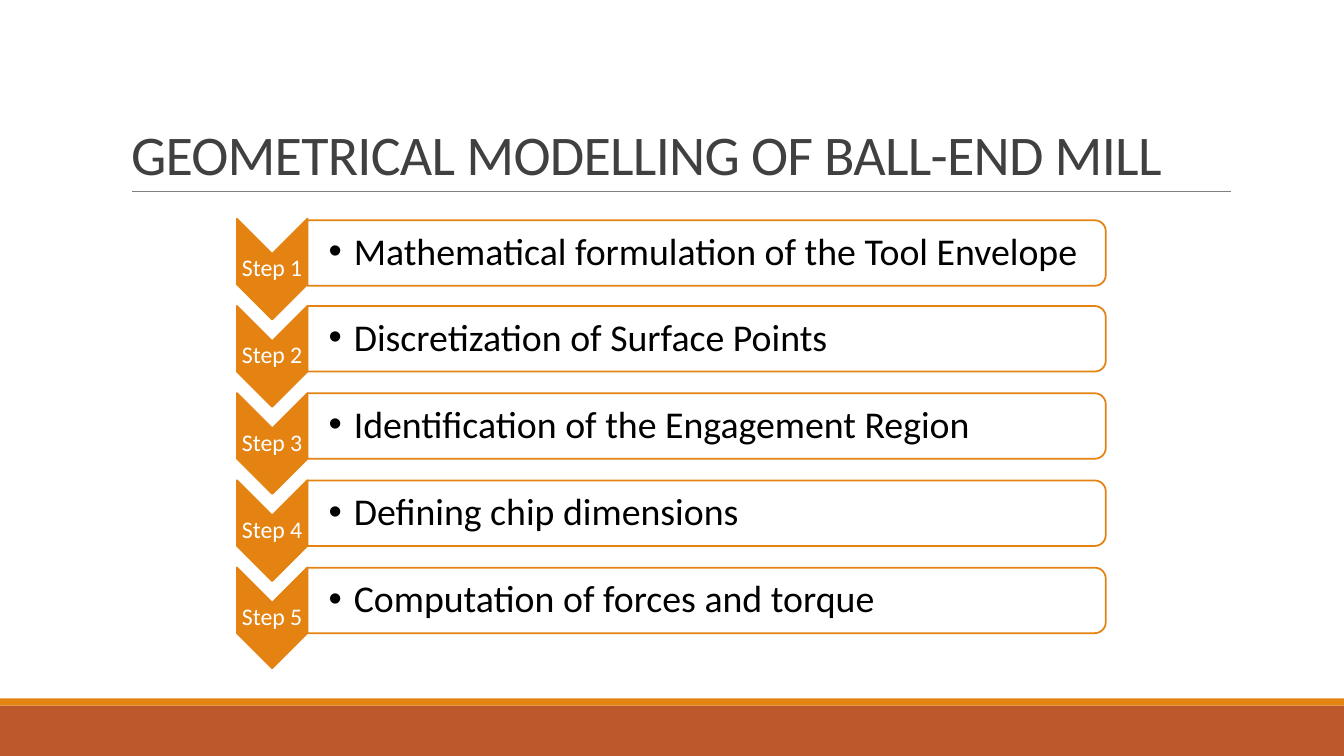
from dataclasses import dataclass

from lxml import etree
from pptx import Presentation
from pptx.dml.color import RGBColor
from pptx.enum import shapes, text
from pptx.oxml import ns
from pptx.util import Pt

COLORS = {
    "orange": "E48312",
    "rust": "BD582C",
    "rule": "808080",
    "title": "404040",
    "white": "FFFFFF",
    "black": "000000",
}
FONT = "Calibri"
SLIDE_WIDTH, SLIDE_HEIGHT = 960, 540
FIRST_CENTER, STEP_PITCH = 192.24, 62.28
CHEVRON_CENTER = 194.4
CHEVRON_LENGTH, CHEVRON_BREADTH = 72, 50.4
BAR_LEFT, BAR_LENGTH, BAR_HEIGHT = 219.6, 570.24, 46.8


@dataclass(frozen=True)
class Box:
    left: float
    top: float
    width: float
    height: float

    def lengths(self) -> tuple:
        return Pt(self.left), Pt(self.top), Pt(self.width), Pt(self.height)


@dataclass(frozen=True)
class Step:
    label: str
    description: str
    bar_rise: float = 12.5


@dataclass(frozen=True)
class TextStyle:
    size: float
    color: str
    alignment: text.PP_ALIGN = text.PP_ALIGN.LEFT
    line_spacing: float = 0.9


LABEL_STYLE = TextStyle(17, "white", text.PP_ALIGN.CENTER)
DESCRIPTION_STYLE = TextStyle(27, "black")
TITLE_STYLE = TextStyle(40, "title", line_spacing=0.85)

STEPS = [
    Step("Step 1", "Mathematical formulation of the Tool Envelope", 11.5),
    Step("Step 2", "Discretization of Surface Points"),
    Step("Step 3", "Identification of the Engagement Region"),
    Step("Step 4", "Defining chip dimensions"),
    Step("Step 5", "Computation of forces and torque"),
]


def color(name: str) -> RGBColor:
    return RGBColor.from_string(COLORS[name])


def centered_box(x: float, y: float, width: float, height: float) -> Box:
    return Box(x - width / 2, y - height / 2, width, height)


def add_filled_shape(slide, kind, box: Box, fill: str, outline: str = "", rotation: float = 0):
    shape = slide.shapes.add_shape(kind, *box.lengths())
    shape.shadow.inherit = False
    shape.rotation = rotation
    shape.fill.solid()
    shape.fill.fore_color.rgb = color(fill)
    if outline:
        shape.line.color.rgb = color(outline)
        shape.line.width = Pt(1.25)
    else:
        shape.line.fill.background()
    return shape


def write_run(paragraph, content: str, style: TextStyle):
    paragraph.alignment = style.alignment
    paragraph.line_spacing = style.line_spacing
    run = paragraph.add_run()
    run.text = content
    run.font.name = FONT
    run.font.size = Pt(style.size)
    run.font.color.rgb = color(style.color)
    return run


def add_bullet(paragraph) -> None:
    paragraph.level = 1
    properties = paragraph._p.get_or_add_pPr()
    properties.set("marL", str(Pt(18)))
    properties.set("indent", str(Pt(-18)))
    etree.SubElement(properties, ns.qn("a:buFont"), typeface="Arial")
    etree.SubElement(properties, ns.qn("a:buChar"), char="•")


def add_text(slide, box: Box, content: str, style: TextStyle,
             inset: float, left_inset: float, bulleted: bool = False) -> None:
    frame = slide.shapes.add_textbox(*box.lengths()).text_frame
    frame.word_wrap = True
    frame.vertical_anchor = text.MSO_ANCHOR.MIDDLE
    frame.margin_left = Pt(left_inset)
    frame.margin_top = frame.margin_right = frame.margin_bottom = Pt(inset)
    paragraph = frame.paragraphs[0]
    if bulleted:
        add_bullet(paragraph)
    write_run(paragraph, content, style)


def add_step(slide, step: Step, center: float) -> None:
    chevron = centered_box(CHEVRON_CENTER, center, CHEVRON_LENGTH, CHEVRON_BREADTH)
    add_filled_shape(slide, shapes.MSO_SHAPE.CHEVRON, chevron, "orange", "orange", 90)
    label = centered_box(CHEVRON_CENTER, center, CHEVRON_BREADTH, 21.6)
    add_text(slide, label, step.label, LABEL_STYLE, 0.72, 0.72)

    bar_center = center - step.bar_rise
    bar_box = centered_box(BAR_LEFT + BAR_LENGTH / 2, bar_center, BAR_HEIGHT, BAR_LENGTH)
    bar = add_filled_shape(slide, shapes.MSO_SHAPE.ROUND_2_SAME_RECTANGLE,
                           bar_box, "white", "orange", 90)
    bar_fill = bar._element.spPr.find(ns.qn("a:solidFill"))
    etree.SubElement(bar_fill[0], ns.qn("a:alpha"), val="90000")
    description = Box(BAR_LEFT, bar_center - 20.88, 568.08, 41.76)
    add_text(slide, description, step.description, DESCRIPTION_STYLE, 1.44, 15.12, True)


def add_title_rule(slide) -> None:
    rule = slide.shapes.add_connector(
        shapes.MSO_CONNECTOR.STRAIGHT, Pt(94.32), Pt(136.8), Pt(879.12), Pt(136.8))
    rule.line.color.rgb = color("rule")
    rule.line.width = Pt(0.5)
    etree.SubElement(rule._element.spPr, ns.qn("a:effectLst"))


def fill_title(slide, content: str) -> None:
    title = slide.shapes.title
    title.left, title.top, title.width, title.height = Box(86.4, 22.32, 792, 114.48).lengths()
    frame = title.text_frame
    frame.word_wrap = True
    frame.auto_size = text.MSO_AUTO_SIZE.NONE
    frame.vertical_anchor = text.MSO_ANCHOR.BOTTOM
    run = write_run(frame.paragraphs[0], content, TITLE_STYLE)
    run.font._element.set("spc", "-50")


def main() -> None:
    presentation = Presentation()
    presentation.slide_width = Pt(SLIDE_WIDTH)
    presentation.slide_height = Pt(SLIDE_HEIGHT)
    slide = presentation.slides.add_slide(presentation.slide_layouts[5])
    slide.background.fill.solid()
    slide.background.fill.fore_color.rgb = color("white")

    rectangle = shapes.MSO_SHAPE.RECTANGLE
    add_filled_shape(slide, rectangle, Box(0, 504, SLIDE_WIDTH, 36), "rust")
    add_filled_shape(slide, rectangle, Box(0, 498.96, SLIDE_WIDTH, 5.04), "orange")
    add_title_rule(slide)
    fill_title(slide, "GEOMETRICAL MODELLING OF BALL-END MILL")
    for index, step in enumerate(STEPS):
        add_step(slide, step, FIRST_CENTER + index * STEP_PITCH)

    presentation.save("out.pptx")


if __name__ == "__main__":
    main()
